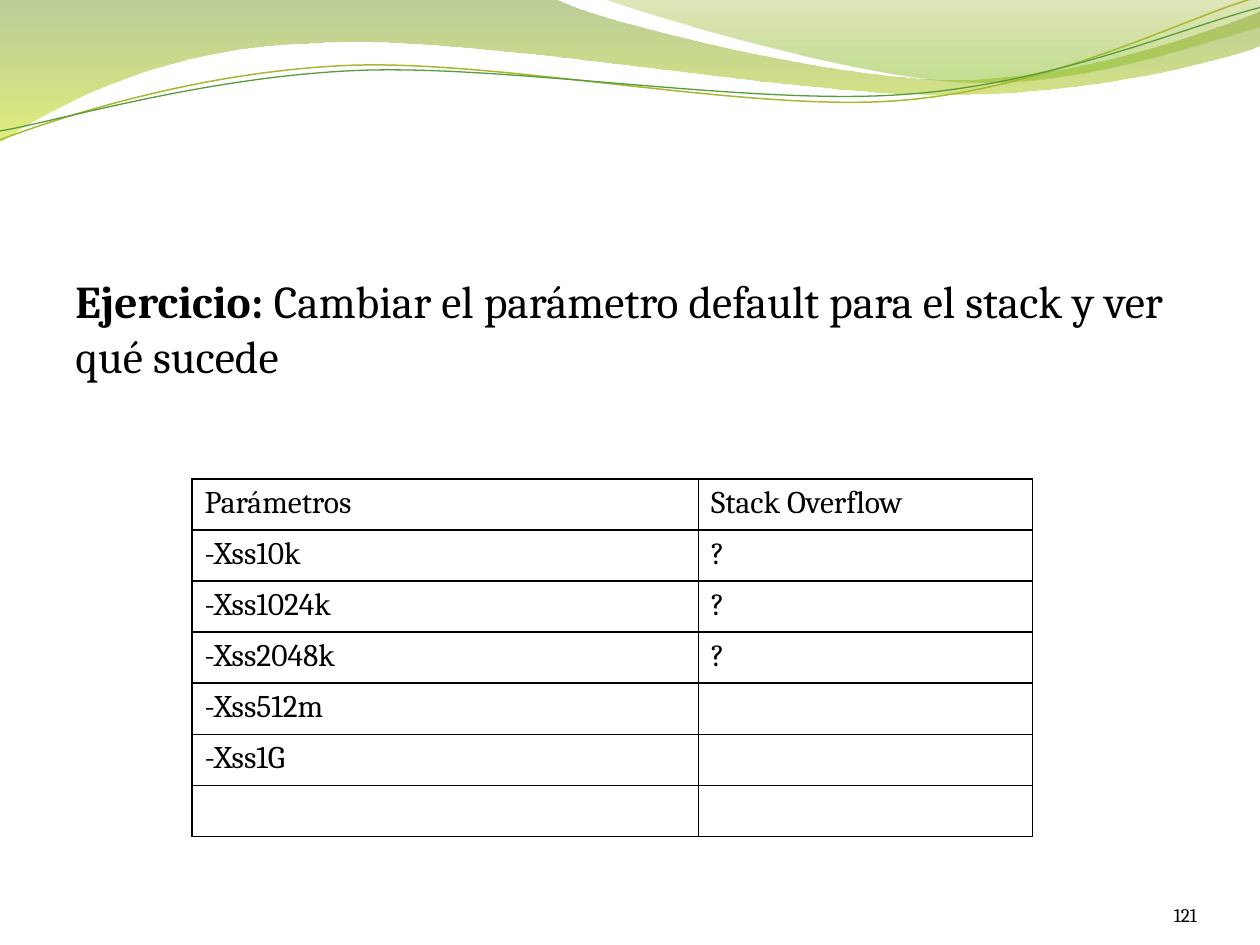
import lxml.etree
import pptx
import pptx.dml.color
import pptx.enum.text
import pptx.oxml.ns
import pptx.util

CELL = pptx.util.Inches(0.1)
COLUMNS, ROWS = 100, 75

THEME = {
    "font": "Cambria",
    "ink": "000000",
    "border": 1,
    "statement": 26,
    "table": 18,
    "number": 11,
    "wave": [(0, "69921C", 45), (1, "CCE10F", 55)],
    "veil": [(0, "9BAA1A", 30), (0.8, "81BA16", 45)],
    "olive": ("A9B733", 0.85),
    "green": ("549E39", 0.75),
}

WAVE = [
    [(0, 0)],
    [(44, -0.1)],
    [(47.5, 1.7), (66.3, 6.3), (75.8, 6.3)],
    [(85.3, 6.3), (95.8, 2.6), (100, 0.9)],
    [(100.1, 3.6)],
    [(98.3, 4.4), (86.9, 7.6), (74.6, 7.5)],
    [(62.2, 7.5), (38.1, 2.8), (25.7, 3.4)],
    [(12.9, 3.6), (4.6, 8.3), (-0.1, 11.3)],
]
VEIL = [
    [(47.9, -0.1)],
    [(50.9, 1.1), (68.2, 6.2), (76.8, 6.5)],
    [(85.5, 6.9), (96.1, 3.2), (100, 2.1)],
    [(100, 0)],
]
OLIVE_STRAND = [
    [(0, 11.1)],
    [(4.8, 9.3), (15.7, 5.7), (27.6, 5.2)],
    [(39.5, 4.7), (59.2, 8.9), (71.2, 8)],
    [(83.3, 7.1), (93.8, 1.5), (99.7, -0.2)],
]
GREEN_STRAND = [
    [(0, 10.4)],
    [(4.7, 9.6), (16.3, 6.1), (28.3, 5.6)],
    [(40.2, 5.1), (59.7, 8.4), (71.7, 7.5)],
    [(83.6, 6.7), (94.1, 2.1), (100, 0.6)],
]

STACK_TESTS = [
    ("Parámetros", "Stack Overflow"),
    ("-Xss10k", "?"),
    ("-Xss1024k", "?"),
    ("-Xss2048k", "?"),
    ("-Xss512m", ""),
    ("-Xss1G", ""),
    ("", ""),
]


def grid(*cells):
    return [pptx.util.Emu(round(cell * CELL)) for cell in cells]


def rgb(code):
    return pptx.dml.color.RGBColor.from_string(code)


def apply_formats(target, formats):
    for name, value in formats.items():
        setattr(target, name, value)


def bend(outline, segments):
    corners = iter(list(outline._element.iter(pptx.oxml.ns.qn("a:lnTo"))))
    for segment in segments[1:]:
        handles = [next(corners) for _ in segment]
        if len(handles) == 3:
            curve = lxml.etree.Element(pptx.oxml.ns.qn("a:cubicBezTo"))
            handles[0].addprevious(curve)
            for handle in handles:
                curve.append(handle[0])
                handle.getparent().remove(handle)


def add_outline(slide, segments, close):
    start, *rest = [grid(*point) for segment in segments for point in segment]
    builder = slide.shapes.build_freeform(*start)
    builder.add_line_segments(rest, close=close)
    outline = builder.convert_to_shape()
    outline.shadow.inherit = False
    bend(outline, segments)
    return outline


def add_band(slide, segments, stops):
    band = add_outline(slide, segments, True)
    band.line.fill.background()
    band.fill.gradient()
    band.fill.gradient_angle = 270
    tints = band._element.spPr.iter(pptx.oxml.ns.qn("a:gs"))
    for stop, tint, (position, code, opacity) in zip(
        band.fill.gradient_stops, tints, stops
    ):
        stop.position = position
        stop.color.rgb = rgb(code)
        alpha = lxml.etree.SubElement(tint[0], pptx.oxml.ns.qn("a:alpha"))
        alpha.set("val", str(opacity * 1000))


def add_strand(slide, segments, stroke):
    code, width = stroke
    strand = add_outline(slide, segments, False)
    strand.fill.background()
    strand.line.color.rgb = rgb(code)
    strand.line.width = pptx.util.Pt(width)


def write_run(paragraph, words, size, bold=False):
    run = paragraph.add_run()
    run.text = words
    apply_formats(
        run.font, {"name": THEME["font"], "size": pptx.util.Pt(size), "bold": bold}
    )
    run.font.color.rgb = rgb(THEME["ink"])


def add_text(slide, place, runs, size, frame_formats, paragraph_formats):
    frame = slide.shapes.add_textbox(*grid(*place)).text_frame
    apply_formats(frame, {"word_wrap": True, **frame_formats})
    paragraph = frame.paragraphs[0]
    apply_formats(paragraph, paragraph_formats)
    for words, bold in runs:
        write_run(paragraph, words, size, bold)


def draw_borders(cell):
    properties = cell._tc.get_or_add_tcPr()
    for index, side in enumerate(("a:lnL", "a:lnR", "a:lnT", "a:lnB")):
        border = lxml.etree.Element(pptx.oxml.ns.qn(side))
        border.set("w", str(pptx.util.Pt(THEME["border"])))
        fill = lxml.etree.SubElement(border, pptx.oxml.ns.qn("a:solidFill"))
        ink = lxml.etree.SubElement(fill, pptx.oxml.ns.qn("a:srgbClr"))
        ink.set("val", THEME["ink"])
        properties.insert(index, border)


def add_stack_table(slide, place, widths):
    table = slide.shapes.add_table(
        len(STACK_TESTS), len(widths), *grid(*place)
    ).table
    apply_formats(table, {"first_row": False, "horz_banding": False})
    for column, width in zip(table.columns, grid(*widths)):
        column.width = width
    for row, entries in enumerate(STACK_TESTS):
        for column, words in enumerate(entries):
            cell = table.cell(row, column)
            cell.fill.background()
            draw_borders(cell)
            if words:
                write_run(cell.text_frame.paragraphs[0], words, THEME["table"])


def main():
    deck = pptx.Presentation()
    apply_formats(
        deck, {"slide_width": COLUMNS * CELL, "slide_height": ROWS * CELL}
    )
    slide = deck.slides.add_slide(deck.slide_layouts[6])

    add_band(slide, WAVE, THEME["wave"])
    add_band(slide, VEIL, THEME["veil"])
    add_strand(slide, OLIVE_STRAND, THEME["olive"])
    add_strand(slide, GREEN_STRAND, THEME["green"])

    statement = [
        ("Ejercicio:", True),
        (" Cambiar el parámetro default para el stack y ver qué sucede", False),
    ]
    add_text(slide, (5, 21.2, 90, 48), statement, THEME["statement"], {}, {})

    sides = ("left", "top", "right", "bottom")
    number_frame = {f"margin_{side}": 0 for side in sides}
    number_frame["vertical_anchor"] = pptx.enum.text.MSO_ANCHOR.BOTTOM
    add_text(
        slide,
        (86.7, 69.5, 8.3, 4),
        [("121", False)],
        THEME["number"],
        number_frame,
        {"alignment": pptx.enum.text.PP_ALIGN.RIGHT},
    )
    add_stack_table(slide, (15.24, 38, 66.7, 28.4), (40.2, 26.5))
    deck.save("out.pptx")


if __name__ == "__main__":
    main()
